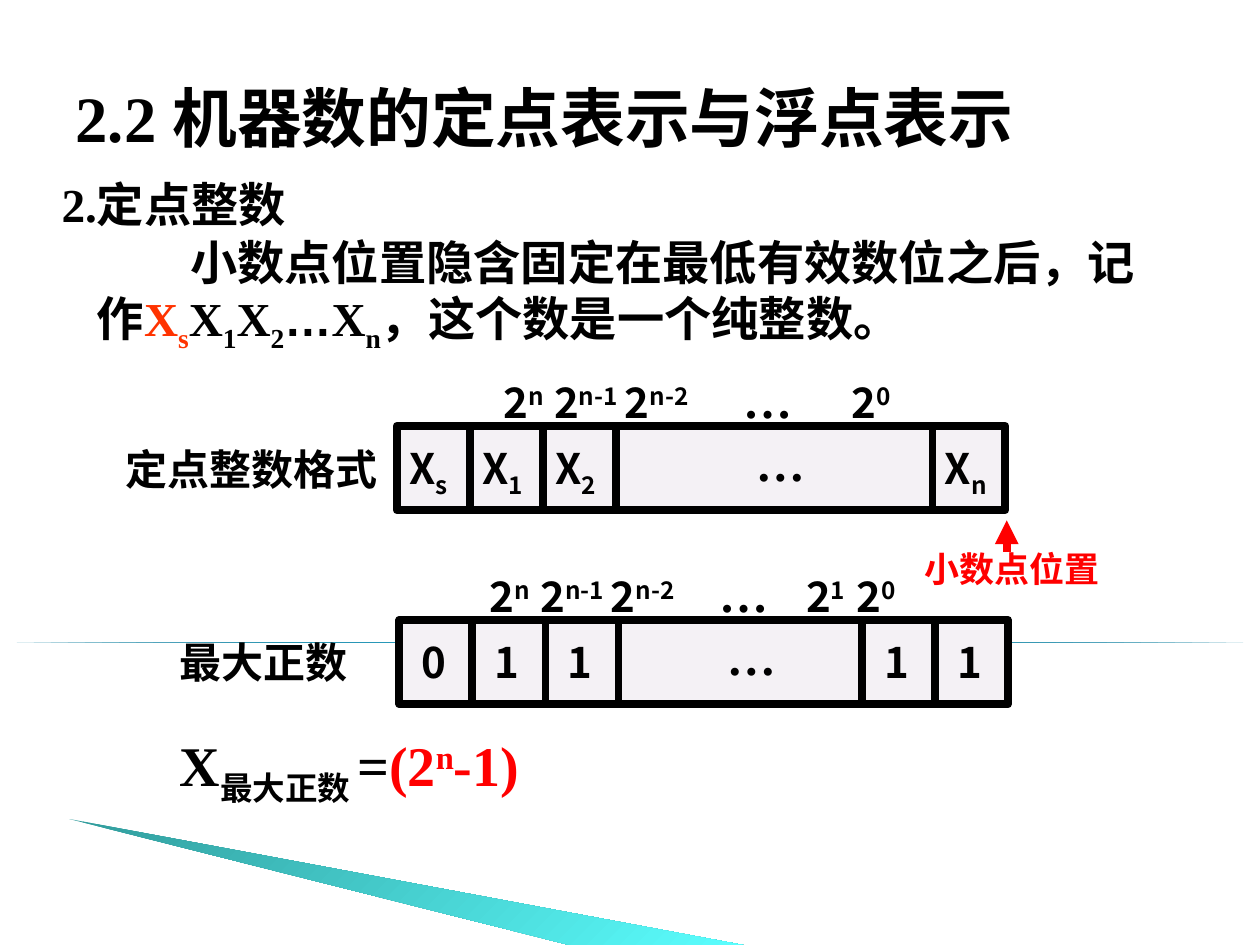
from lxml import etree
from pptx import Presentation
from pptx.dml.color import RGBColor
from pptx.enum.shapes import MSO_CONNECTOR, MSO_SHAPE
from pptx.enum.text import MSO_ANCHOR, PP_ALIGN
from pptx.oxml.ns import qn
from pptx.util import Inches, Pt

LINE = MSO_CONNECTOR.STRAIGHT
RECTANGLE = MSO_SHAPE.RECTANGLE
RIGHT_TRIANGLE = MSO_SHAPE.RIGHT_TRIANGLE
TOP, MIDDLE = MSO_ANCHOR.TOP, MSO_ANCHOR.MIDDLE
LEFT = PP_ALIGN.LEFT

BLACK = RGBColor(0x00, 0x00, 0x00)
RED = RGBColor(0xFF, 0x00, 0x00)
ORANGE = RGBColor(0xFF, 0x33, 0x00)
CELL_FILL = RGBColor(0xF4, 0xF1, 0xF5)
TEAL = RGBColor(0x00, 0x78, 0x97)
SKY = RGBColor(0x4A, 0xBB, 0xE0)
SEA = RGBColor(0x31, 0x9C, 0x9C)
CYAN = RGBColor(0x5B, 0xFF, 0xFF)

SERIF, SANS = "Times New Roman", "Noto Sans CJK SC"
SUB, SUPER = -25, 30
REGISTER_WIDTH, REGISTER_HEIGHT = 4.83, 0.67
BIT_WIDTH = REGISTER_WIDTH * 0.12


def set_typeface(font, latin, east_asian):
    font.name = latin
    element = font._element if hasattr(font, "_element") else font._rPr
    for old in element.findall(qn("a:ea")):
        element.remove(old)
    east = etree.Element(qn("a:ea"), typeface=east_asian)
    element.find(qn("a:latin")).addnext(east)


def style(paragraph, size, latin=SERIF, color=BLACK):
    font = paragraph.font
    font.size, font.bold = Pt(size), True
    font.color.rgb = color
    set_typeface(font, latin, SANS)


def add_run(paragraph, text, baseline=0, color=None, size=None, typeface=None):
    run = paragraph.add_run()
    run.text = text
    if baseline:
        run.font._element.set("baseline", str(baseline * 1000))
    if color is not None:
        run.font.color.rgb = color
    if size:
        run.font.size = Pt(size)
    if typeface:
        set_typeface(run.font, typeface, typeface)


def add_text_box(slide, left, top, width, height, anchor=TOP):
    frame = slide.shapes.add_textbox(
        Inches(left), Inches(top), Inches(width), Inches(height)).text_frame
    frame.word_wrap = True
    frame.vertical_anchor = anchor
    return frame


def add_label(slide, left, top, width, height, runs, size=24, latin=SERIF, color=BLACK):
    paragraph = add_text_box(slide, left, top, width, height).paragraphs[0]
    style(paragraph, size, latin, color)
    for run in runs:
        add_run(paragraph, *run)


def add_ellipsis(slide, left, top):
    add_label(slide, left, top, 1.08, 0.57, [("…", 0, None, 28, SERIF)], 28)


def add_weights(slide, left, top, exponents, stops):
    """Write the powers of two above a register; None stands for the ellipsis."""
    frame = add_text_box(slide, left, top, 3.7, 0.57, MIDDLE)
    paragraph = frame.paragraphs[0]
    tabs = etree.SubElement(paragraph._p.get_or_add_pPr(), qn("a:tabLst"))
    for stop in stops:
        etree.SubElement(tabs, qn("a:tab"), pos=str(Inches(stop)), algn="l")
    style(paragraph, 24, SANS)
    for index, exponent in enumerate(exponents):
        tab = "\t" if index else ""
        if exponent is None:
            add_run(paragraph, tab + "…", 0, None, 28, SERIF)
        else:
            add_run(paragraph, tab + "2")
            add_run(paragraph, exponent, SUPER)


def add_line(slide, start, end, color):
    connector = slide.shapes.add_connector(
        LINE, *(Inches(value) for value in (*start, *end)))
    connector.line.color.rgb = color
    connector.line.width = Pt(4.5)
    etree.SubElement(connector._element.spPr, qn("a:effectLst"))
    return connector


def add_register(slide, left, top, first_bits, last_bits, inset):
    """Draw a register with single bits at both ends and a wide gap between."""
    box = slide.shapes.add_shape(RECTANGLE, Inches(left), Inches(top),
                                 Inches(REGISTER_WIDTH), Inches(REGISTER_HEIGHT))
    box.shadow.inherit = False
    box.fill.solid()
    box.fill.fore_color.rgb = CELL_FILL
    box.line.color.rgb = BLACK
    box.line.width = Pt(4.5)
    right = left + REGISTER_WIDTH
    starts = [left + i * BIT_WIDTH for i in range(len(first_bits))]
    last_starts = [right - (i + 1) * BIT_WIDTH for i in reversed(range(len(last_bits)))]
    gap_start = left + len(first_bits) * BIT_WIDTH
    for x in starts[1:] + [gap_start] + last_starts:
        add_line(slide, (x, top), (x, top + REGISTER_HEIGHT), BLACK)
    for x, runs in zip(starts + last_starts, first_bits + last_bits):
        add_label(slide, x + inset, top + 0.08, 0.8, 0.5, runs, latin=SANS)


def fill_gradient(shape, colors, angle):
    shape.shadow.inherit = False
    shape.line.fill.background()
    shape.fill.gradient()
    gradient = shape._element.spPr.find(qn("a:gradFill"))
    for child in list(gradient):
        gradient.remove(child)
    stops = etree.SubElement(gradient, qn("a:gsLst"))
    for index, color in enumerate(colors):
        position = 100000 * index // (len(colors) - 1)
        stop = etree.SubElement(stops, qn("a:gs"), pos=str(position))
        etree.SubElement(stop, qn("a:srgbClr"), val=str(color))
    etree.SubElement(gradient, qn("a:lin"), ang=str(angle * 60000), scaled="0")


def add_decoration(slide):
    rule = slide.shapes.add_shape(RIGHT_TRIANGLE, 0, Inches(5.1), Inches(10), 0)
    fill_gradient(rule, (TEAL, SKY, TEAL), 50)
    points = [(Inches(x), Inches(y)) for x, y in ((0.55, 6.5), (5.95, 7.51), (4.56, 7.51))]
    builder = slide.shapes.build_freeform(*points[0])
    builder.add_line_segments(points[1:])
    fill_gradient(builder.convert_to_shape(), (SEA, CYAN), 45)


def write_title(slide):
    title = slide.shapes.title
    title.left, title.top = Inches(0.5), Inches(0.3)
    title.width, title.height = Inches(9), Inches(1.25)
    title.text_frame.vertical_anchor = MIDDLE
    paragraph = title.text_frame.paragraphs[0]
    paragraph.alignment = LEFT
    style(paragraph, 37)
    add_run(paragraph, "2.2 机器数的定点表示与浮点表示")


def write_definition(slide):
    frame = add_text_box(slide, 0.27, 1.39, 9.17, 1.67)
    heading, body = frame.paragraphs[0], frame.add_paragraph()
    for paragraph, indent in ((heading, -0.28), (body, 0.74)):
        properties = paragraph._p.get_or_add_pPr()
        properties.set("marL", str(Inches(0.4)))
        properties.set("indent", str(Inches(indent)))
        paragraph.line_spacing = 0.9
        style(paragraph, 27)
    body.space_before = Pt(4)
    add_run(heading, "2.定点整数")
    for run in (("小数点位置隐含固定在最低有效数位之后，记作",),
                ("X", 0, ORANGE), ("s", SUB, ORANGE), ("X",), ("1", SUB),
                ("X",), ("2", SUB), ("…", 0, None, None, "Arial"),
                ("X",), ("n", SUB), ("，这个数是一个纯整数。",)):
        add_run(body, *run)


def draw_format(slide):
    add_label(slide, 0.9, 3.47, 2.25, 0.5, [("定点整数格式",)], latin=SANS)
    add_label(slide, 7.24, 4.3, 2.08, 0.44, [("小数点位置",)], 20, color=RED)
    arrow = add_line(slide, (7.99, 4.38), (7.99, 4.13), RED)
    etree.SubElement(arrow.line._get_or_add_ln(), qn("a:tailEnd"), type="triangle")
    first, last = ([[("X",), (index, SUB)] for index in group] for group in ("s12", "n"))
    add_register(slide, 3.15, 3.38, first, last, 0)
    add_ellipsis(slide, 5.9, 3.38)
    add_weights(slide, 3.9, 2.88, ("n", "n-1", "n-2", None, "0"), (0.4, 0.96, 1.9, 2.76))


def draw_maximum(slide):
    add_label(slide, 1.33, 5, 2.08, 0.5, [("最大正数",)])
    first, last = ([[(bit,)] for bit in group] for group in ("011", "11"))
    add_register(slide, 3.17, 4.92, first, last, 0.08)
    add_ellipsis(slide, 5.67, 4.92)
    add_weights(slide, 3.79, 4.42, ("n", "n-1", "n-2", None, "1", "0"),
                (0.4, 0.96, 1.82, 2.51, 2.91))
    add_label(slide, 1.33, 5.75, 7.08, 0.71,
              [("X",), ("最大正数 ", SUB), ("=",), ("(2", 0, RED),
               ("n", SUPER, RED), ("-1)", 0, RED)], 32)


def main():
    presentation = Presentation()
    presentation.slide_width, presentation.slide_height = Inches(10), Inches(7.5)
    slide = presentation.slides.add_slide(presentation.slide_layouts[5])
    add_decoration(slide)
    write_title(slide)
    write_definition(slide)
    draw_format(slide)
    draw_maximum(slide)
    presentation.save("out.pptx")


if __name__ == "__main__":
    main()
